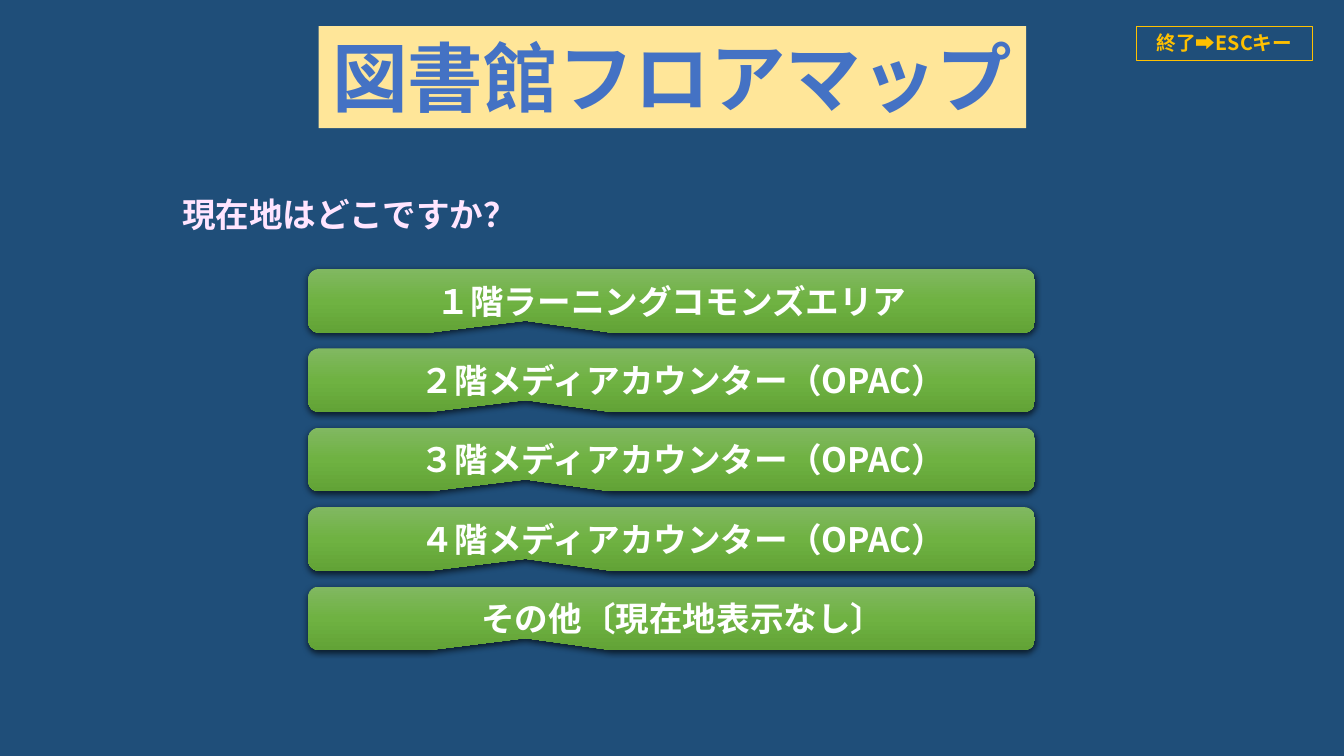
from copy import deepcopy
from dataclasses import dataclass

from lxml import etree
from pptx import Presentation
from pptx.dml.color import RGBColor
from pptx.enum.shapes import MSO_SHAPE
from pptx.enum.text import MSO_ANCHOR, MSO_AUTO_SIZE, PP_ALIGN
from pptx.oxml import parse_xml
from pptx.oxml.ns import qn
from pptx.util import Cm, Pt

RECTANGLE = MSO_SHAPE.RECTANGLE
CALLOUT = MSO_SHAPE.ROUNDED_RECTANGULAR_CALLOUT
TOP, MIDDLE = MSO_ANCHOR.TOP, MSO_ANCHOR.MIDDLE
GROW, FIXED = MSO_AUTO_SIZE.SHAPE_TO_FIT_TEXT, MSO_AUTO_SIZE.NONE
LEFT, CENTER = PP_ALIGN.LEFT, PP_ALIGN.CENTER
DRAWING_NS = "http://schemas.openxmlformats.org/drawingml/2006/main"


@dataclass(frozen=True)
class Theme:
    font: str = "Noto Sans CJK JP"
    background: str = "1F4E79"
    banner: str = "FFE699"
    title: str = "4472C4"
    question: str = "FFE5FF"
    white: str = "FFFFFF"
    exit: str = "FFC000"
    button: tuple = ("81B861", "6FB242", "62A336")
    title_size: int = 54
    body_size: int = 24
    exit_size: int = 14


THEME = Theme()


def rgb(color):
    return RGBColor.from_string(color)


def write(shape, text, size, color, align=CENTER, **frame_format):
    """Fill the shape with one bold line and return its run."""
    frame = shape.text_frame
    settings = {"word_wrap": True, "auto_size": GROW, "vertical_anchor": TOP}
    for name, value in (settings | frame_format).items():
        setattr(frame, name, value)
    para = frame.paragraphs[0]
    para.alignment = align
    span = para.add_run()
    span.text = text
    for name, value in {"name": THEME.font, "size": Pt(size), "bold": True}.items():
        setattr(span.font, name, value)
    span.font.color.rgb = rgb(color)
    east_asian = etree.SubElement(span._r.get_or_add_rPr(), qn("a:ea"))
    east_asian.set("typeface", THEME.font)
    return span


deck = Presentation()
deck.slide_width, deck.slide_height = Cm(33.87), Cm(19.05)
page = deck.slides.add_slide(deck.slide_layouts.get_by_name("Title Only"))
page.background.fill.solid()
page.background.fill.fore_color.rgb = rgb(THEME.background)

# Title banner
title = page.shapes.title
title.left, title.top, title.width, title.height = Cm(8.03), Cm(0.66), Cm(17.83), Cm(2.57)
title.fill.solid()
title.fill.fore_color.rgb = rgb(THEME.banner)
title_span = write(title, "図書館フロアマップ", THEME.title_size, THEME.title, word_wrap=False)
title_span._r.get_or_add_rPr().insert(0, parse_xml(
    f'<a:ln xmlns:a="{DRAWING_NS}" w="9525"><a:solidFill>'
    f'<a:srgbClr val="{THEME.white}"/></a:solidFill></a:ln>'))

# Question
question = page.shapes.add_textbox(Cm(4.34), Cm(4.75), Cm(9.32), Cm(1.27))
write(question, "現在地はどこですか？", THEME.body_size, THEME.question, LEFT)

# Floor buttons
BUTTON_TOP, BUTTON_PITCH = 6.78, 2.0
INSET, TEXT_SHIFT = 0.25, 0.57
floors = [
    ("１階ラーニングコモンズエリア", 0),
    ("２階メディアカウンター（OPAC）", TEXT_SHIFT),
    ("３階メディアカウンター（OPAC）", TEXT_SHIFT),
    ("４階メディアカウンター（OPAC）", TEXT_SHIFT),
    ("その他〔現在地表示なし〕", TEXT_SHIFT),
]
for row, (label, shift) in enumerate(floors):
    button = page.shapes.add_shape(
        CALLOUT, Cm(7.77), Cm(BUTTON_TOP + row * BUTTON_PITCH), Cm(18.31), Cm(1.6))
    for index, value in enumerate((-0.201, 0.313, 0.167)):
        button.adjustments[index] = value
    button.line.fill.background()
    button.fill.gradient()
    button.fill.gradient_angle = 270
    stops = button._element.spPr.find(".//" + qn("a:gsLst"))
    stops.append(deepcopy(stops[0]))
    for index, stop in enumerate(button.fill.gradient_stops):
        stop.position = index / 2
        stop.color.rgb = rgb(THEME.button[index])
    button.shadow.inherit = False
    button._element.spPr.find(qn("a:effectLst")).append(parse_xml(
        f'<a:outerShdw xmlns:a="{DRAWING_NS}" blurRad="57150" dist="19050" dir="5400000" '
        'algn="ctr" rotWithShape="0"><a:srgbClr val="000000"><a:alpha val="63000"/>'
        '</a:srgbClr></a:outerShdw>'))
    write(button, label, THEME.body_size, THEME.white, auto_size=FIXED,
          vertical_anchor=MIDDLE, margin_left=Cm(INSET + shift))

# Exit hint
exit_hint = page.shapes.add_shape(RECTANGLE, Cm(28.65), Cm(0.66), Cm(4.42), Cm(0.86))
exit_hint.shadow.inherit = False
exit_hint.fill.background()
exit_hint.line.color.rgb = rgb(THEME.exit)
exit_hint.line.width = Pt(0.75)
write(exit_hint, "終了➡ESCキー", THEME.exit_size, THEME.exit)

deck.save("out.pptx")
